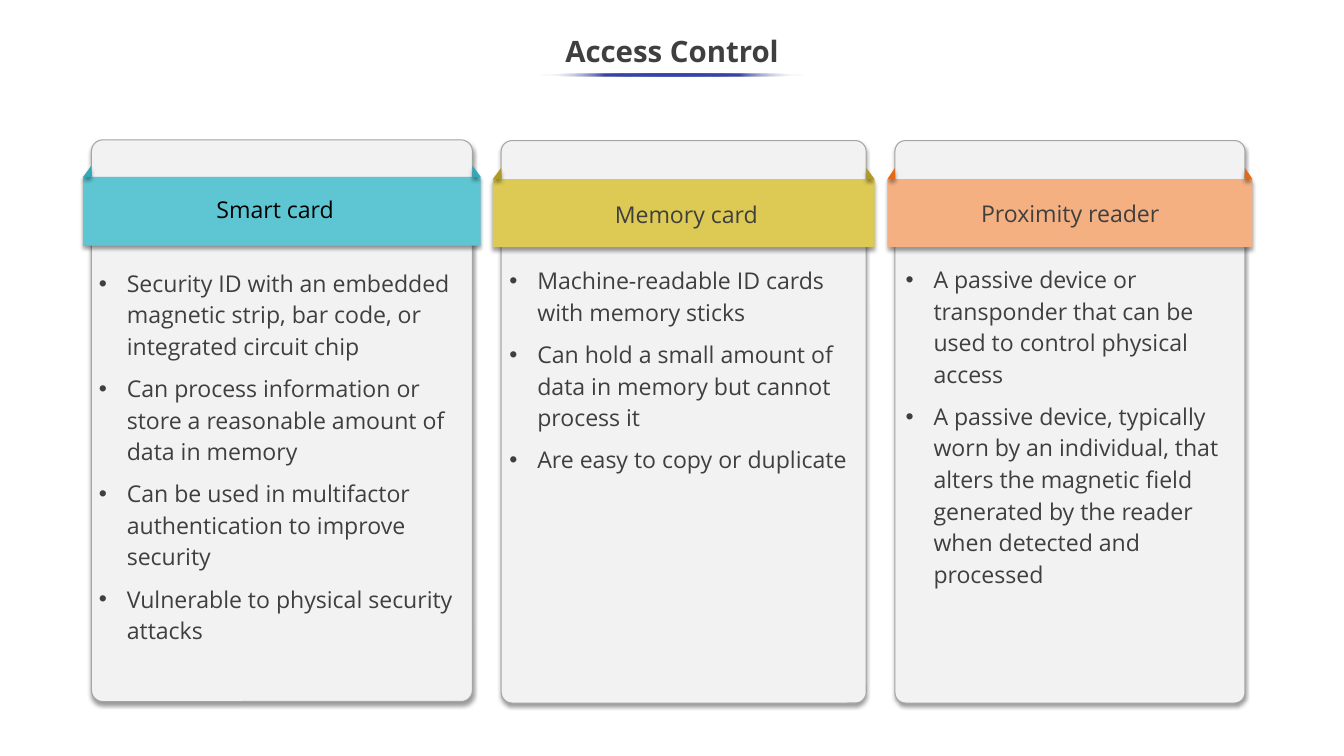
from lxml.etree import SubElement
from pptx import Presentation
from pptx.dml.color import RGBColor
from pptx.enum.shapes import MSO_SHAPE
from pptx.enum.text import MSO_ANCHOR, MSO_AUTO_SIZE, PP_ALIGN
from pptx.oxml.ns import qn
from pptx.util import Pt

PX = 9144  # 100 px to the inch
COLORS = {
    "ink": "3F3F3F", "black": "000000", "white": "FFFFFF",
    "panel": "F2F2F2", "edge": "A5A5A5", "underline": "3645A9",
    "teal": "5EC6D3", "teal_dark": "32A8B8",
    "yellow": "DDCA55", "yellow_dark": "AF9B23",
    "orange": "F4B081", "orange_dark": "E56915",
}
EAR_HEIGHT = 15
INDENT = 37

CARDS = [
    {"frame": (121, 185, 504, 743), "ear": 11, "band": (234, 91), "color": "teal",
     "heading": "Smart card", "heading_box": (242, 249, 244, 57), "heading_color": "black",
     "align": PP_ALIGN.CENTER, "heading_inset": (10, 10),
     "body_box": (121, 341, 504, 578), "body_inset": (10, 10),
     "bullets": [
         "Security ID with an embedded magnetic strip, bar code, or integrated circuit chip",
         "Can process information or store a reasonable amount of data in memory",
         "Can be used in multifactor authentication to improve security",
         "Vulnerable to physical security attacks"]},
    {"frame": (663, 186, 483, 744), "ear": 11, "band": (237, 90), "color": "yellow",
     "heading": "Memory card", "heading_box": (755, 260, 306, 47), "heading_color": "ink",
     "align": PP_ALIGN.CENTER, "heading_inset": (10, 5),
     "body_box": (664, 343, 482, 305), "body_inset": (10, 5),
     "bullets": [
         "Machine-readable ID cards with memory sticks",
         "Can hold a small amount of data in memory but cannot process it",
         "Are easy to copy or duplicate"]},
    {"frame": (1184, 186, 463, 744), "ear": 10, "band": (237, 90), "color": "orange",
     "heading": "Proximity reader", "heading_box": (1288, 259, 277, 47), "heading_color": "ink",
     "align": PP_ALIGN.LEFT, "heading_inset": (10, 5),
     "body_box": (1193, 341, 454, 460), "body_inset": (5, 5),
     "bullets": [
         "A passive device or transponder that can be used to control physical access",
         "A passive device, typically worn by an individual, that alters the magnetic "
         "field generated by the reader when detected and processed"]},
]


def add_panel_part(group, kind, frame, color):
    """Add a filled shape without outline that casts a soft shadow downwards."""
    part = group.shapes.add_shape(kind, *(value * PX for value in frame))
    part.fill.solid()
    part.fill.fore_color.rgb = RGBColor.from_string(COLORS[color])
    part.line.fill.background()
    part.shadow.inherit = False
    effects = part._element.spPr.find(qn("a:effectLst"))
    shadow = SubElement(effects, qn("a:outerShdw"), blurRad=str(Pt(4)), dist=str(Pt(3)),
                        dir="5400000", algn="t", rotWithShape="0")
    tint = SubElement(shadow, qn("a:srgbClr"), val=COLORS["black"])
    SubElement(tint, qn("a:alpha"), val="40000")
    return part


def add_text(frame, inset, lines, size, color, align=PP_ALIGN.LEFT, bulleted=False):
    box = page.shapes.add_textbox(*(value * PX for value in frame))
    text = box.text_frame
    text.word_wrap = True
    text.auto_size = MSO_AUTO_SIZE.SHAPE_TO_FIT_TEXT
    text.margin_left = text.margin_right = inset[0] * PX
    text.margin_top = text.margin_bottom = inset[1] * PX
    for index, line in enumerate(lines):
        paragraph = text.paragraphs[0] if index == 0 else text.add_paragraph()
        paragraph.add_run().text = line
        paragraph.alignment = align
        if bulleted:
            paragraph.line_spacing = 1.14
            if index:
                paragraph.space_before = Pt(10)
            properties = paragraph._p.get_or_add_pPr()
            properties.set("marL", str(INDENT * PX))
            properties.set("indent", str(-INDENT * PX))
            bullet_color = SubElement(properties, qn("a:buClr"))
            SubElement(bullet_color, qn("a:srgbClr"), val=COLORS[color])
            SubElement(properties, qn("a:buFont"), typeface="Arial")
            SubElement(properties, qn("a:buChar"), char="•")
        paragraph.font.name = "Open Sans"
        paragraph.font.size = Pt(size)
        paragraph.font.color.rgb = RGBColor.from_string(COLORS[color])
    return box


deck = Presentation()
deck.slide_width = 1778 * PX
deck.slide_height = 1000 * PX
page = deck.slides.add_slide(deck.slide_layouts[6])

title = add_text((0, 33, 1778, 75), (10, 5), ["Access Control"], 28, "ink", PP_ALIGN.CENTER)
title.text_frame.auto_size = MSO_AUTO_SIZE.NONE
title.text_frame.vertical_anchor = MSO_ANCHOR.MIDDLE
title.text_frame.paragraphs[0].line_spacing = 0.9
title.text_frame.paragraphs[0].font.bold = True

underline = page.shapes.add_shape(MSO_SHAPE.OVAL, 712 * PX, 97 * PX, 354 * PX, 4 * PX)
underline.shadow.inherit = False
underline.line.fill.background()
underline.fill.gradient()
underline.fill.gradient_angle = 180
stops = underline._element.spPr.find(qn("a:gradFill")).find(qn("a:gsLst"))
for stop in list(stops):
    stops.remove(stop)
for position in (0, 25, 50, 75, 100):
    at_end = position in (0, 100)
    stop = SubElement(stops, qn("a:gs"), pos=str(position * 1000))
    tint = SubElement(stop, qn("a:srgbClr"), val=COLORS["white" if at_end else "underline"])
    if at_end:
        SubElement(tint, qn("a:alpha"), val="0")

for card in CARDS:
    left, top, width, height = card["frame"]
    ear = card["ear"]
    band_top, band_height = card["band"]
    dark = card["color"] + "_dark"

    group = page.shapes.add_group_shape()
    panel = add_panel_part(group, MSO_SHAPE.ROUNDED_RECTANGLE, card["frame"], "panel")
    panel.adjustments[0] = 0.03
    panel.line.color.rgb = RGBColor.from_string(COLORS["edge"])
    panel.line.width = Pt(1)
    add_panel_part(group, MSO_SHAPE.RECTANGLE,
                   (left - ear, band_top, width + 2 * ear, band_height), card["color"])
    for ear_left, flipped in ((left - ear, True), (left + width, False)):
        corner = add_panel_part(group, MSO_SHAPE.RIGHT_TRIANGLE,
                                (ear_left, band_top - EAR_HEIGHT, ear, EAR_HEIGHT), dark)
        if flipped:
            corner._element.spPr.find(qn("a:xfrm")).set("flipH", "1")

    add_text(card["body_box"], card["body_inset"], card["bullets"], 22, "ink", bulleted=True)
    add_text(card["heading_box"], card["heading_inset"], [card["heading"]], 22,
             card["heading_color"], card["align"])

deck.save("out.pptx")
